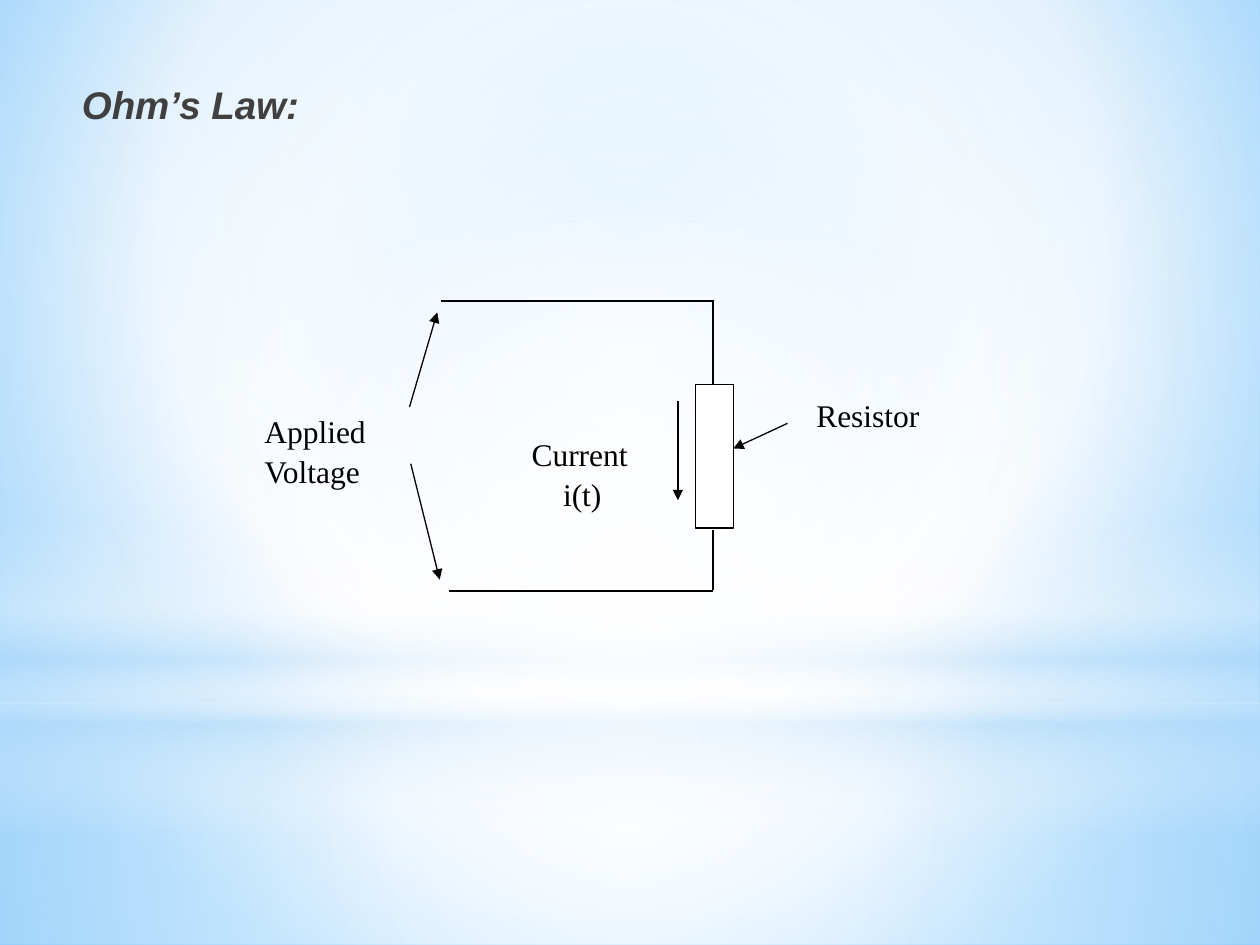
from lxml import etree
from pptx import Presentation
from pptx.dml.color import RGBColor
from pptx.enum import shapes, text
from pptx.oxml import ns
from pptx.util import Inches, Pt

BLACK = RGBColor(0x00, 0x00, 0x00)
WHITE = RGBColor(0xFF, 0xFF, 0xFF)
DARK_GREY = RGBColor(0x40, 0x40, 0x40)
SKY = RGBColor(0x9E, 0xD5, 0xFF)
BLUE = RGBColor(0x5B, 0xB9, 0xFF)
PALE_BLUE = RGBColor(0xB4, 0xDC, 0xFA)

RECTANGLE = shapes.MSO_SHAPE.RECTANGLE
OVAL = shapes.MSO_SHAPE.OVAL
CENTRE = (50, 50, 50, 50)

# Gradient stops: position %, colour, opacity %
BACKGROUND_STOPS = [(0, SKY, 100), (60, WHITE, 100), (100, BLUE, 100)]
BACKGROUND_FOCUS = (20, 10, 20, 60)

# Backdrop: preset, box, stops, focus (None means a vertical linear gradient)
BACKDROP = [
    (RECTANGLE, (0, 5.58, 10, 1.92),
     [(0, WHITE, 91), (37, WHITE, 76), (100, PALE_BLUE, 79)], CENTRE),
    (RECTANGLE, (0, 0, 10, 5.58),
     [(0, WHITE, 89), (48, WHITE, 62), (100, PALE_BLUE, 79)], CENTRE),
    (RECTANGLE, (0, 4.12, 10, 2.5),
     [(0, WHITE, 0), (29, WHITE, 30), (45, PALE_BLUE, 40),
      (55, WHITE, 26), (65, PALE_BLUE, 60), (100, WHITE, 0)], None),
    (OVAL, (0, 1.75, 10, 5.58), [(0, WHITE, 100), (56, WHITE, 0)], CENTRE),
]

TITLE = "Ohm’s Law:"
TITLE_BOX = (0.5, 0.5, 9.17, 0.66)

# Circuit: start x, start y, end x, end y
WIRES = [
    (3.5, 2.39, 5.67, 2.39),
    (5.66, 2.39, 5.66, 3.08),
    (5.66, 4.21, 5.66, 4.68),
    (5.66, 4.69, 3.56, 4.69),
]
ARROWS = [
    (5.38, 3.18, 5.38, 3.97),
    (3.25, 3.23, 3.47, 2.48),
    (3.26, 3.68, 3.49, 4.6),
    (6.25, 3.36, 5.82, 3.56),
]
RESISTOR_BOX = (5.52, 3.05, 0.3, 1.14)

# Labels: box, paragraphs as (text, left indent)
LABELS = [
    ((4.12, 3.39, 1.12, 1), [("Current", 0), ("i(t)", 0.25)]),
    ((2, 3.21, 1.73, 1), [("Applied Voltage", 0)]),
    ((6.38, 3.08, 1.25, 1), [("Resistor", 0)]),
]


def inches(values):
    return [Inches(value) for value in values]


def set_gradient(parent, stops, focus):
    """Swap the solid fill inside parent for a gradient."""
    gradient = etree.Element(ns.qn("a:gradFill"), rotWithShape="1")
    stop_list = etree.SubElement(gradient, ns.qn("a:gsLst"))
    for position, colour, opacity in stops:
        stop = etree.SubElement(stop_list, ns.qn("a:gs"), pos=str(position * 1000))
        fill = etree.SubElement(stop, ns.qn("a:srgbClr"), val=str(colour))
        if opacity < 100:
            etree.SubElement(fill, ns.qn("a:alpha"), val=str(opacity * 1000))
    if focus:
        circle = etree.SubElement(gradient, ns.qn("a:path"), path="circle")
        edges = {side: str(value * 1000) for side, value in zip("ltrb", focus)}
        etree.SubElement(circle, ns.qn("a:fillToRect"), **edges)
    else:
        etree.SubElement(gradient, ns.qn("a:lin"), ang="5400000", scaled="0")
    parent.replace(parent.find(ns.qn("a:solidFill")), gradient)


def add_line(group, points, arrow=False):
    connector = group.shapes.add_connector(
        shapes.MSO_CONNECTOR.STRAIGHT, *inches(points))
    connector.line.color.rgb = BLACK
    connector.line.width = Pt(0.75)
    properties = connector.element.spPr
    if arrow:
        etree.SubElement(properties.find(ns.qn("a:ln")), ns.qn("a:tailEnd"),
                         type="triangle")
    etree.SubElement(properties, ns.qn("a:effectLst"))


def add_label(group, box, paragraphs):
    frame = group.shapes.add_textbox(*inches(box)).text_frame
    frame.word_wrap = True
    for index, (words, indent) in enumerate(paragraphs):
        paragraph = frame.add_paragraph() if index else frame.paragraphs[0]
        paragraph.line_spacing = 1.05
        if indent:
            paragraph._p.get_or_add_pPr().set("marL", str(Inches(indent)))
        run = paragraph.add_run()
        run.text = words
        run.font.name = "Times New Roman"
        run.font.size = Pt(18)
        run.font.color.rgb = BLACK


def main():
    presentation = Presentation()
    presentation.slide_width, presentation.slide_height = inches((10, 7.5))
    slide = presentation.slides.add_slide(presentation.slide_layouts[5])

    # Background and light bands
    slide.background.fill.solid()
    set_gradient(slide.element.find(".//" + ns.qn("p:bgPr")),
                 BACKGROUND_STOPS, BACKGROUND_FOCUS)
    for preset, box, stops, focus in BACKDROP:
        shape = slide.shapes.add_shape(preset, *inches(box))
        shape.shadow.inherit = False
        shape.line.fill.background()
        shape.fill.solid()
        set_gradient(shape.element.spPr, stops, focus)

    # Title, brought in front of the backdrop
    title = slide.shapes.title
    slide.shapes.element.append(title.element)
    title.left, title.top, title.width, title.height = inches(TITLE_BOX)
    frame = title.text_frame
    frame.vertical_anchor = text.MSO_ANCHOR.MIDDLE
    frame.margin_left = Inches(0.15)
    paragraph = frame.paragraphs[0]
    paragraph.alignment = text.PP_ALIGN.LEFT
    run = paragraph.add_run()
    run.text = TITLE
    run.font.name = "Arial"
    run.font.size = Pt(22)
    run.font.bold = run.font.italic = True
    run.font.color.rgb = DARK_GREY

    # Circuit diagram
    circuit = slide.shapes.add_group_shape()
    for points in WIRES:
        add_line(circuit, points)
    resistor = circuit.shapes.add_shape(RECTANGLE, *inches(RESISTOR_BOX))
    resistor.shadow.inherit = False
    resistor.fill.solid()
    resistor.fill.fore_color.rgb = WHITE
    resistor.line.color.rgb = BLACK
    resistor.line.width = Pt(0.75)
    for points in ARROWS:
        add_line(circuit, points, arrow=True)
    for box, paragraphs in LABELS:
        add_label(circuit, box, paragraphs)

    presentation.save("out.pptx")


if __name__ == "__main__":
    main()
